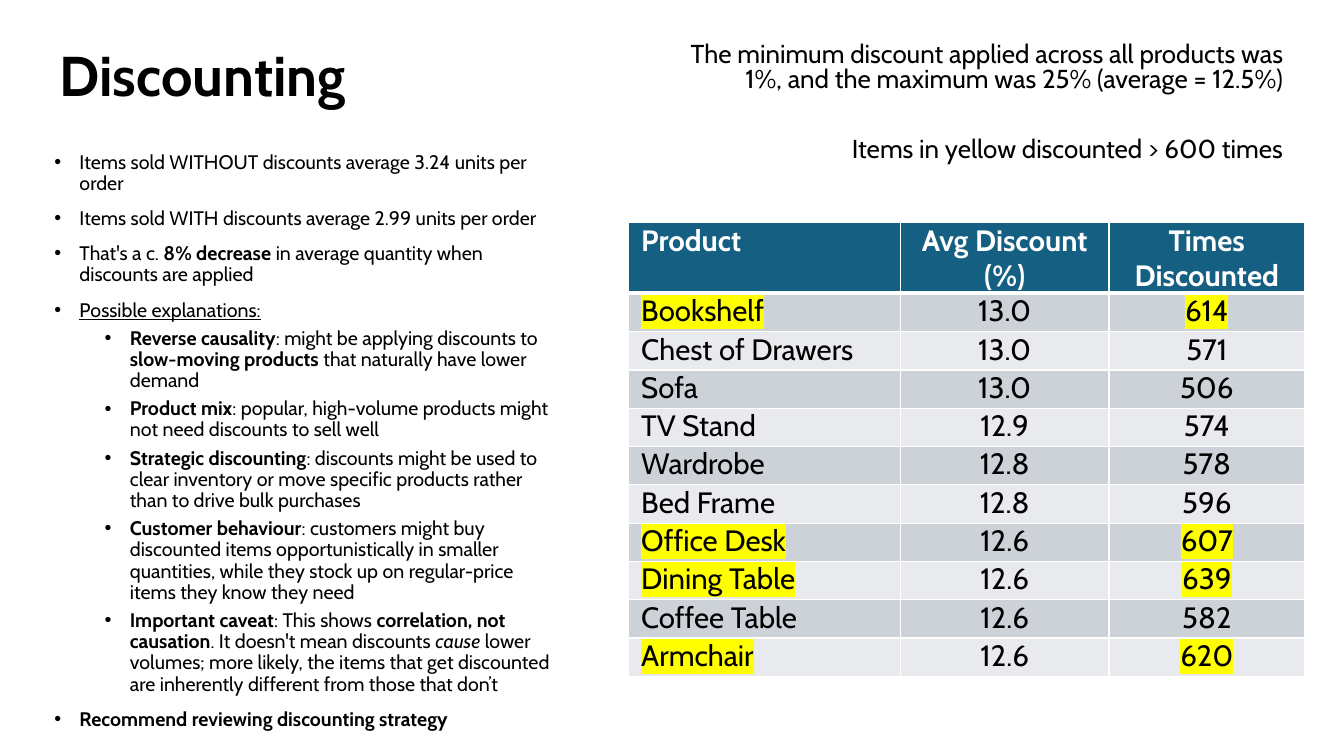
from lxml import etree
from pptx import Presentation
from pptx import util as u
from pptx.dml.color import RGBColor
from pptx.enum import shapes, text
from pptx.oxml import ns

FONT = "Cabin"
HEX = {"white": "FFFFFF", "black": "000000", "blue": "156082",
       "odd": "CCD2D8", "even": "E8EAED", "mark": "FFFF00"}
COLOR = {name: RGBColor.from_string(code) for name, code in HEX.items()}


def style(par, size, color="black", bold=None):
    par.font.name, par.font.size, par.font.bold = FONT, u.Pt(size), bold
    par.font.color.rgb = COLOR[color]


def paint(parent, tag, color):
    """Add a colour element, wrapped in a tag, to an XML parent."""
    node = etree.SubElement(parent, ns.qn(tag))
    etree.SubElement(node, ns.qn("a:srgbClr"), val=HEX[color])


deck = Presentation()
deck.slide_width, deck.slide_height = u.Inches(13.33), u.Inches(7.5)
slide = deck.slides.add_slide(deck.slide_layouts[5])

# Header band, behind the title
band = slide.shapes.add_shape(shapes.MSO_SHAPE.RECTANGLE, 0, 0,
                              deck.slide_width, u.Inches(1.86))
band.shadow.inherit = False
band.fill.solid()
band.fill.fore_color.rgb = COLOR["white"]
band.line.fill.background()
title = slide.shapes.title
band._element.addnext(title._element)

# Title
title.left, title.top = u.Inches(0.49), u.Inches(0.35)
title.width, title.height = u.Inches(5.88), u.Inches(0.77)
title.text_frame.text = "Discounting"
title.text_frame.vertical_anchor = text.MSO_ANCHOR.TOP
head = title.text_frame.paragraphs[0]
head.alignment = text.PP_ALIGN.LEFT
style(head, 40, bold=True)

# Notes at top right
notes = [
    ("The minimum discount applied across all products was 1%, "
     "and the maximum was 25% (average = 12.5%)", 0),
    ("Items in yellow discounted > 600 times", 32),
]
frame = slide.shapes.add_textbox(u.Inches(6.37), u.Inches(0.35),
                                 u.Inches(6.45), u.Inches(1.35)).text_frame
frame.word_wrap = True
frame.vertical_anchor = text.MSO_ANCHOR.MIDDLE
for i, (note, gap) in enumerate(notes):
    par = frame.add_paragraph() if i else frame.paragraphs[0]
    par.text = note
    par.alignment = text.PP_ALIGN.RIGHT
    par.line_spacing, par.space_before = 0.8, u.Pt(gap)
    style(par, 18.5)

# Discount table
rows = [
    ("Product", "Avg Discount (%)", "Times\nDiscounted"),
    ("Bookshelf", "13.0", "614"),
    ("Chest of Drawers", "13.0", "571"),
    ("Sofa", "13.0", "506"),
    ("TV Stand", "12.9", "574"),
    ("Wardrobe", "12.8", "578"),
    ("Bed Frame", "12.8", "596"),
    ("Office Desk", "12.6", "607"),
    ("Dining Table", "12.6", "639"),
    ("Coffee Table", "12.6", "582"),
    ("Armchair", "12.6", "620"),
]
table = slide.shapes.add_table(len(rows), 3, u.Inches(6.23), u.Inches(2.21),
                               u.Inches(6.71), u.Inches(4.52)).table
for col, width in zip(table.columns, (2.7, 2.07, 1.94)):
    col.width = u.Inches(width)
for r, row in enumerate(rows):
    table.rows[r].height = u.Inches(0.38 if r else 0.7)
    hot = r > 0 and int(row[2]) > 600
    for c, value in enumerate(row):
        cell = table.cell(r, c)
        cell.text = value
        cell.margin_left = cell.margin_right = u.Inches(0.13)
        cell.margin_top = cell.margin_bottom = 0
        for side in "LRTB":
            thick = (r, side) in ((0, "B"), (1, "T"))
            edge = etree.SubElement(cell._tc.get_or_add_tcPr(),
                                    ns.qn("a:ln" + side),
                                    w=str(u.Pt(3 if thick else 1)))
            paint(edge, "a:solidFill", "white")
        cell.fill.solid()
        fill = "blue" if r == 0 else "odd" if r % 2 else "even"
        cell.fill.fore_color.rgb = COLOR[fill]
        for par in cell.text_frame.paragraphs:
            par.alignment = text.PP_ALIGN.CENTER if c else text.PP_ALIGN.LEFT
            style(par, 21, "black" if r else "white", r == 0)
            if hot and c != 1:
                paint(par.runs[0]._r.get_or_add_rPr(), "a:highlight", "mark")

# Bullets: level, then runs of (text, emphasis)
points = [
    (0, [("Items sold WITHOUT discounts average 3.24 units per order", "")]),
    (0, [("Items sold WITH discounts average 2.99 units per order", "")]),
    (0, [("That's a c. ", ""), ("8% decrease", "bold"),
         (" in average quantity when discounts are applied", "")]),
    (0, [("Possible explanations:", "underline")]),
    (1, [("Reverse causality", "bold"),
         (": might be applying discounts to ", ""),
         ("slow-moving products", "bold"),
         (" that naturally have lower demand", "")]),
    (1, [("Product mix", "bold"),
         (": popular, high-volume products might not need discounts "
          "to sell well", "")]),
    (1, [("Strategic discounting", "bold"),
         (": discounts might be used to clear inventory or move specific "
          "products rather than to drive bulk purchases", "")]),
    (1, [("Customer behaviour", "bold"),
         (": customers might buy discounted items opportunistically in "
          "smaller quantities, while they stock up on regular-price items "
          "they know they need", "")]),
    (1, [("Important caveat", "bold"), (": This shows ", ""),
         ("correlation, not causation", "bold"),
         (". It doesn't mean discounts ", ""), ("cause", "italic"),
         (" lower volumes; more likely, the items that get discounted are "
          "inherently different from those that don’t", "")]),
    (0, [("Recommend reviewing discounting strategy", "bold")]),
]
frame = slide.shapes.add_textbox(u.Inches(0.44), u.Inches(1.46),
                                 u.Inches(5.23), u.Inches(5.91)).text_frame
frame.word_wrap = True
for i, (level, runs) in enumerate(points):
    par = frame.add_paragraph() if i else frame.paragraphs[0]
    par.level = level
    props = par._p.get_or_add_pPr()
    props.set("marL", str(u.Inches(0.25 + 0.5 * level)))
    props.set("indent", str(u.Inches(-0.25)))
    etree.SubElement(props, ns.qn("a:buFont"), typeface="Arial")
    etree.SubElement(props, ns.qn("a:buChar"), char="•")
    par.line_spacing = 0.9
    par.space_before = u.Pt((5 if level else 10) if i else 0)
    style(par, 14)
    for words, mood in runs:
        run = par.add_run()
        run.text = words
        if mood:
            setattr(run.font, mood, True)

deck.save("out.pptx")
